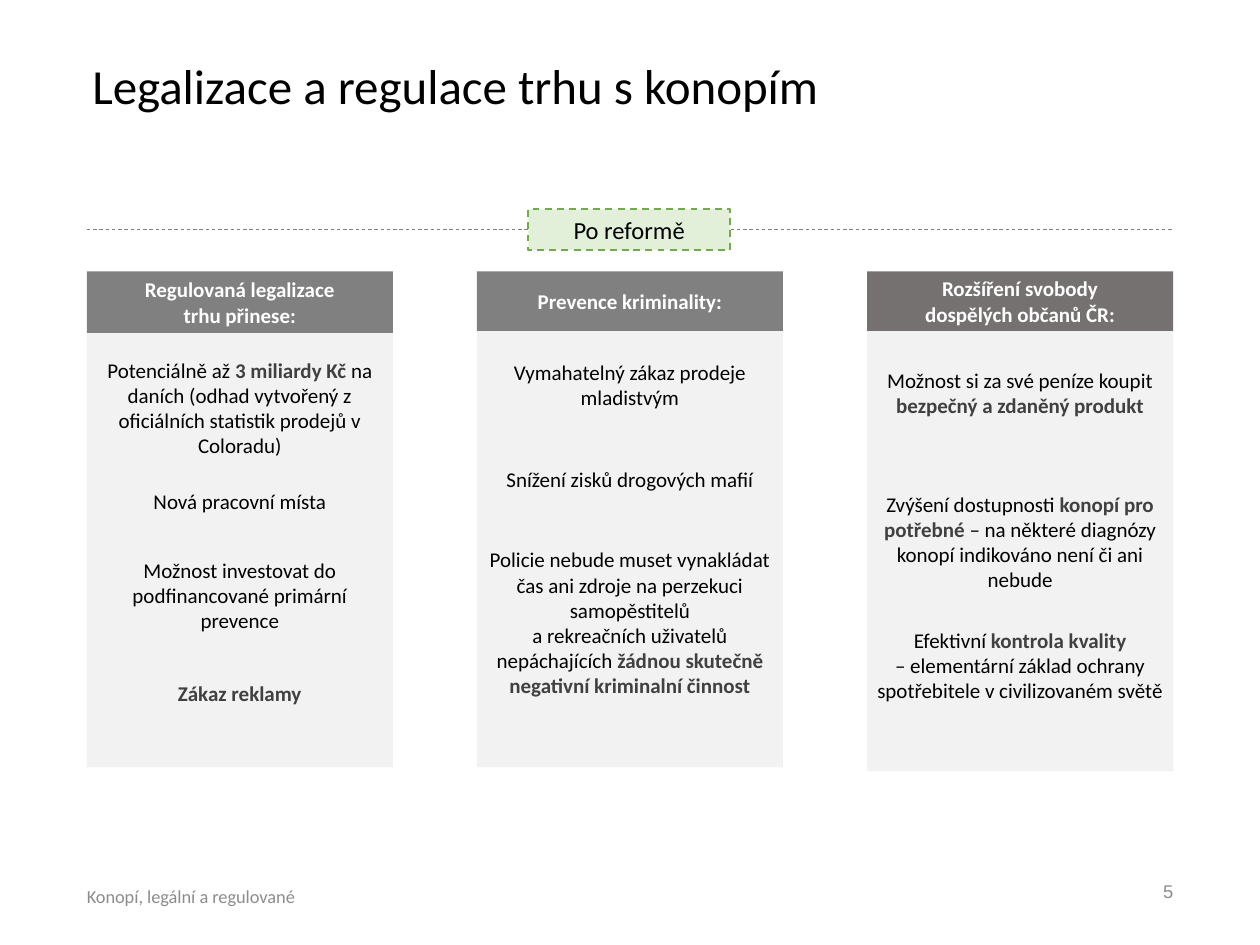
from pptx import Presentation
from pptx.dml.color import RGBColor
from pptx.enum.dml import MSO_LINE
from pptx.enum.shapes import MSO_CONNECTOR, MSO_SHAPE
from pptx.enum.text import MSO_ANCHOR, PP_ALIGN
from pptx.oxml.ns import qn
from pptx.util import Cm, Pt
from lxml.etree import SubElement

TITLE = "Legalizace a regulace trhu s konopím"
FOOTER = "Konopí, legální a regulované"
PAGE = "5"
STAGE = "Po reformě"
MIDDLE, TOP = MSO_ANCHOR.MIDDLE, MSO_ANCHOR.TOP

# BOLD marks the strong parts of a text
BOLD = "**"
COLUMNS = [
    {
        "header": ["Regulovaná legalizace", "trhu přinese:"],
        "header_fill": "808080", "header_height": 1.24, "bottom": 15.47,
        "anchor": MIDDLE,
        "items": [
            (7.72, 0.99, "Potenciálně až **3 miliardy Kč **na daních (odhad vytvořený z "
                         "oficiálních statistik prodejů v Coloradu)"),
            (9.6, 0.99, "Nová pracovní místa"),
            (11.5, 0.99, "Možnost investovat do podfinancované primární prevence"),
            (13.72, 0.5, "**Zákaz reklamy**"),
        ],
    },
    {
        "header": ["Prevence kriminality:"],
        "header_fill": "808080", "header_height": 1.2, "bottom": 15.47,
        "anchor": MIDDLE,
        "items": [
            (7.3, 0.9, "Vymahatelný zákaz prodeje mladistvým"),
            (9.2, 0.9, "Snížení zisků drogových mafií"),
            (10.52, 4.06, "Policie nebude muset vynakládat čas ani zdroje na perzekuci "
                          "samopěstitelů\na rekreačních uživatelů nepáchajících "
                          "**žádnou skutečně negativní kriminalní činnost**"),
        ],
    },
    {
        "header": ["Rozšíření svobody\ndospělých občanů ČR:"],
        "header_fill": "767171", "header_height": 1.2, "bottom": 15.55,
        "anchor": TOP,
        "items": [
            (7.4, 1.95, "Možnost si za své peníze koupit **bezpečný a zdaněný produkt**"),
            (9.9, 1.95, "Zvýšení dostupnosti **konopí pro potřebné **– na některé diagnózy "
                        "konopí indikováno není či ani nebude"),
            (12.65, 1.95, "Efektivní **kontrola kvality\n**– elementární základ ochrany "
                          "spotřebitele v civilizovaném světě"),
        ],
    },
]

LEFT, RIGHT = 1.75, 23.65
COLUMN_WIDTH = 6.17
COLUMN_STEP = (RIGHT - LEFT - COLUMN_WIDTH) / (len(COLUMNS) - 1)
HEADER_TOP = 5.47
ITEM_INSET = 0.19
LINE_TOP = 4.63


def rgb(value):
    return RGBColor.from_string(value)


def write(shape, paragraphs, size=12, color="000000", strong="404040", font="Calibri",
          align=PP_ALIGN.CENTER, anchor=MIDDLE):
    frame = shape.text_frame
    frame.word_wrap = True
    frame.vertical_anchor = anchor
    frame.margin_left = frame.margin_right = frame.margin_top = frame.margin_bottom = 0
    for index, text in enumerate(paragraphs):
        paragraph = frame.add_paragraph() if index else frame.paragraphs[0]
        paragraph.alignment = align
        for part, piece in enumerate(text.split(BOLD)):
            for row, words in enumerate(piece.split("\n")):
                if row:
                    paragraph.add_line_break()
                if words:
                    run = paragraph.add_run()
                    run.text = words
                    run.font.name, run.font.size = font, Pt(size)
                    run.font.bold = part % 2 == 1
                    run.font.color.rgb = rgb(strong if part % 2 else color)


def add_box(slide, left, top, width, height, fill):
    shape = slide.shapes.add_shape(MSO_SHAPE.RECTANGLE, Cm(left), Cm(top), Cm(width), Cm(height))
    shape.shadow.inherit = False
    shape.fill.solid()
    shape.fill.fore_color.rgb = rgb(fill)
    shape.line.fill.background()
    return shape


def add_text(slide, left, top, width, height, text, **style):
    box = slide.shapes.add_textbox(Cm(left), Cm(top), Cm(width), Cm(height))
    write(box, [text], **style)


def dash(line, color, width):
    line.color.rgb = rgb(color)
    line.width = Pt(width)
    line.dash_style = MSO_LINE.DASH


def add_column(slide, left, column):
    body_top = HEADER_TOP + column["header_height"]
    add_box(slide, left, body_top, COLUMN_WIDTH, column["bottom"] - body_top, "F2F2F2")
    header = add_box(slide, left, HEADER_TOP, COLUMN_WIDTH, column["header_height"],
                     column["header_fill"])
    write(header, [BOLD + text + BOLD for text in column["header"]], strong="FFFFFF")
    for top, height, text in column["items"]:
        add_text(slide, left + ITEM_INSET, top, COLUMN_WIDTH - 2 * ITEM_INSET, height, text,
                 anchor=column["anchor"])


def main():
    presentation = Presentation()
    presentation.slide_width, presentation.slide_height = Cm(25.4), Cm(19.05)
    slide = presentation.slides.add_slide(presentation.slide_layouts[5])

    title = slide.shapes.title
    title.left, title.top, title.width, title.height = Cm(1.86), Cm(1.1), Cm(21.9), Cm(1.21)
    write(title, [TITLE], size=28, align=PP_ALIGN.LEFT, anchor=MSO_ANCHOR.BOTTOM)

    for index, column in enumerate(COLUMNS):
        add_column(slide, LEFT + index * COLUMN_STEP, column)

    divider = slide.shapes.add_connector(MSO_CONNECTOR.STRAIGHT, Cm(LEFT), Cm(LINE_TOP),
                                         Cm(RIGHT), Cm(LINE_TOP))
    SubElement(divider.line._get_or_add_ln().getparent(), qn("a:effectLst"))
    dash(divider.line, "808080", 0.5)

    stage = add_box(slide, 10.65, 4.22, 4.07, 0.82, "E2F0D9")
    dash(stage.line, "70AD47", 1)
    write(stage, [STAGE], size=14)

    add_text(slide, LEFT, 17.55, 12.7, 1.02, FOOTER, size=10.5, color="8C8C8C",
             align=PP_ALIGN.LEFT)
    add_text(slide, RIGHT - 5.72, 17.45, 5.72, 1.02, PAGE, size=10.5, color="8C8C8C",
             font="Arial", align=PP_ALIGN.RIGHT)

    presentation.save("out.pptx")


if __name__ == "__main__":
    main()
